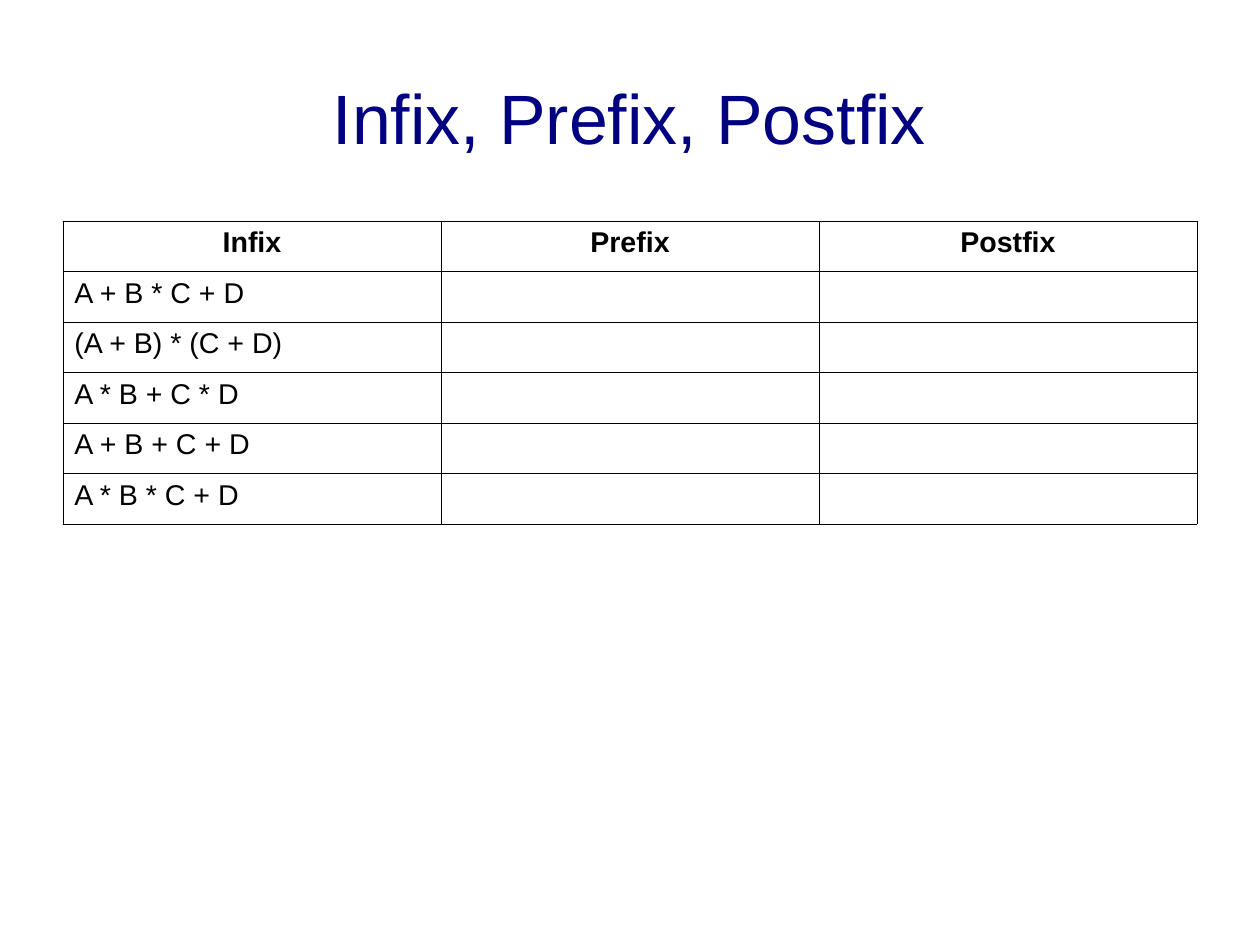
from pptx import Presentation
from pptx.dml.color import RGBColor
from pptx.enum.text import MSO_ANCHOR as Anchor, PP_ALIGN as Align
from pptx.oxml import parse_xml
from pptx.oxml.ns import nsdecls
from pptx.util import Emu, Pt

PX = 8000  # EMU per px
BLACK, NAVY, WHITE = "000000", "000080", "FFFFFF"


def box(*sides):
    return [Emu(side * PX) for side in sides]


def style(par, size, color, bold=False):
    for run in par.runs:
        font = run.font
        font.name, font.size, font.bold = "Arial", Pt(size), bold
        font.color.rgb = RGBColor.from_string(color)


deck = Presentation()
deck.slide_width, deck.slide_height = box(1260, 945)
slide = deck.slides.add_slide(deck.slide_layouts[6])

# Title
frame = slide.shapes.add_textbox(*box(63, 38, 1134, 158)).text_frame
frame.word_wrap = True
frame.vertical_anchor = Anchor.MIDDLE
frame.margin_left = frame.margin_right = 0
frame.margin_top = frame.margin_bottom = 0
frame.text = "Infix, Prefix, Postfix"
title = frame.paragraphs[0]
title.alignment = Align.CENTER
style(title, 44, NAVY)

# Table text
rows = [
    ("Infix", "Prefix", "Postfix"),
    ("A + B * C + D", "", ""),
    ("(A + B) * (C + D)", "", ""),
    ("A * B + C * D", "", ""),
    ("A + B + C + D", "", ""),
    ("A * B * C + D", "", ""),
]
table = slide.shapes.add_table(len(rows), 3, *box(63, 221, 1134, 303)).table
table.first_row = table.horz_banding = False

for r, row in enumerate(rows):
    for c, text in enumerate(row):
        cell = table.cell(r, c)
        cell.text = text
        par = cell.text_frame.paragraphs[0]
        par.alignment = Align.LEFT if r else Align.CENTER
        style(par, 18, BLACK, bold=r == 0)

        # Thin borders, then the fill
        props = cell._tc.get_or_add_tcPr()
        for side in "LRTB":
            props.append(parse_xml(
                f'<a:ln{side} {nsdecls("a")} w="{Pt(0.57)}"><a:solidFill>'
                f'<a:srgbClr val="{BLACK}"/></a:solidFill></a:ln{side}>'))
        cell.fill.solid()
        cell.fill.fore_color.rgb = RGBColor.from_string(WHITE)

deck.save("out.pptx")
